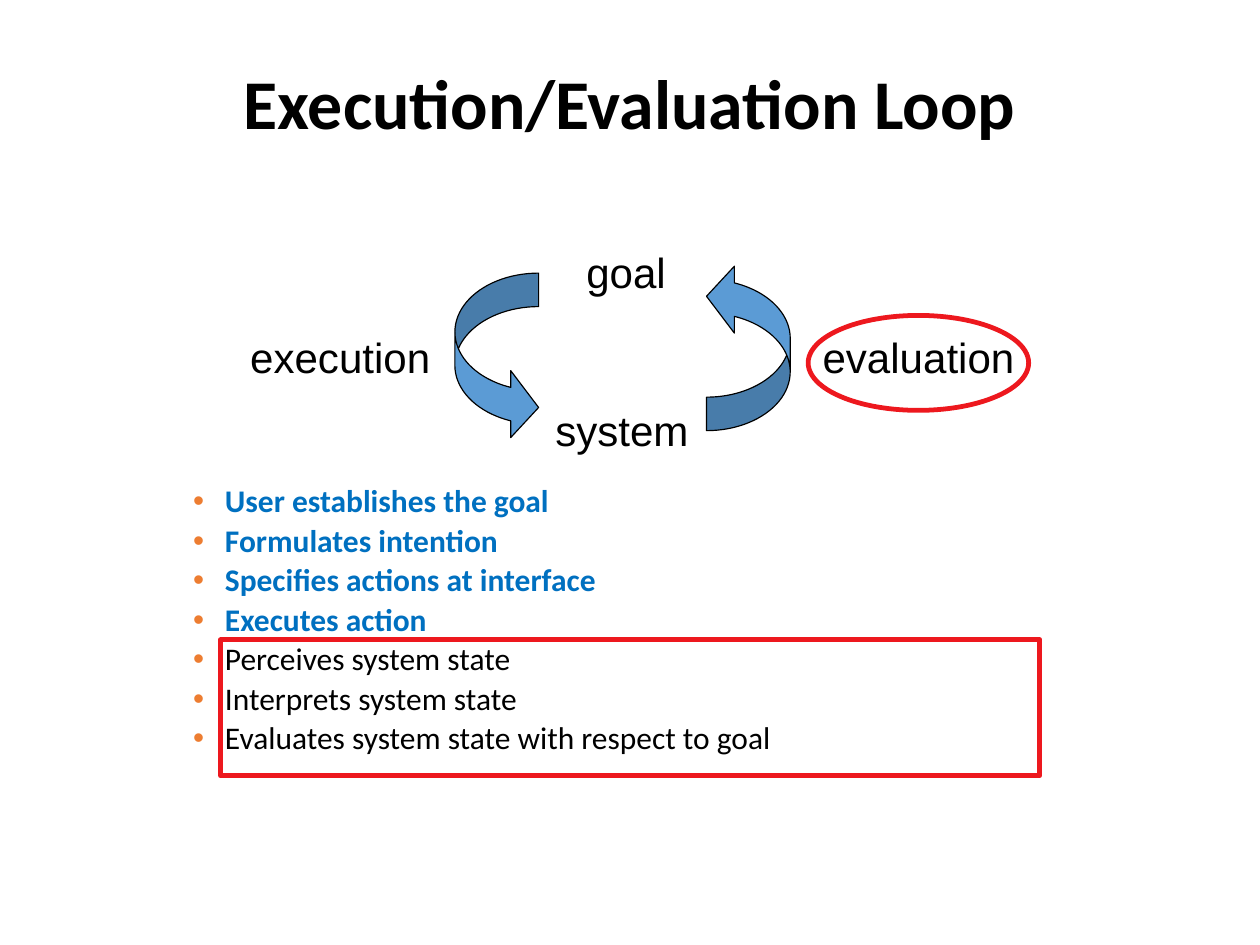
from dataclasses import dataclass
from typing import Optional

import pptx
import pptx.dml.color
import pptx.enum.shapes
import pptx.enum.text
import pptx.oxml.xmlchemy
import pptx.util
from lxml import etree
from pptx.oxml.ns import qn
from pptx.util import Cm

COLOURS = {
    "text": "000000",
    "done": "0070C0",
    "bullet": "ED7D31",
    "arrow": "5B9BD5",
    "highlight": "ED181E",
}
SHAPES = pptx.enum.shapes.MSO_SHAPE
ALIGN = pptx.enum.text.PP_ALIGN


@dataclass
class Box:
    left: float
    top: float
    width: float
    height: float

    def lengths(self) -> tuple:
        return Cm(self.left), Cm(self.top), Cm(self.width), Cm(self.height)


@dataclass
class Label:
    text: str
    box: Box


@dataclass
class Outline:
    kind: SHAPES
    box: Box
    line: str
    weight: float
    fill: Optional[str] = None
    rotation: float = 0
    adjustments: tuple = ()


@dataclass
class Step:
    text: str
    done: bool


LABELS = [
    Label("system", Box(12.09, 8.86, 3.51, 1.4)),
    Label("evaluation", Box(18.03, 7.24, 4.83, 1.4)),
    Label("execution", Box(5.31, 7.24, 4.55, 1.4)),
    Label("goal", Box(12.78, 5.36, 2.31, 1.4)),
]
ARROWS = [
    Outline(SHAPES.CURVED_RIGHT_ARROW, Box(left, top, 1.86, 3.73), "text", 0.75,
            "arrow", rotation, (0.4, 0.8, 0.333))
    for left, top, rotation in [(10.11, 6.07, 0), (15.7, 5.84, 180)]
]
HIGHLIGHTS = [
    Outline(SHAPES.OVAL, Box(17.96, 7.01, 4.9, 2.11), "highlight", 3),
    Outline(SHAPES.RECTANGLE, Box(4.9, 14.22, 18.21, 3.02), "highlight", 3),
]
STEPS = [
    Step("User establishes the goal", True),
    Step("Formulates intention", True),
    Step("Specifies actions at interface", True),
    Step("Executes action", True),
    Step("Perceives system state", False),
    Step("Interprets system state", False),
    Step("Evaluates system state with respect to goal", False),
]


def colour(name: str) -> pptx.dml.color.RGBColor:
    return pptx.dml.color.RGBColor.from_string(COLOURS[name])


def add_text_frame(slide, box: Box, wrap: bool = True):
    frame = slide.shapes.add_textbox(*box.lengths()).text_frame
    frame.word_wrap = wrap
    return frame


def add_run(paragraph, text: str, font: str, size: float,
            name: str = "text", bold: bool = False) -> None:
    run = paragraph.add_run()
    run.text = text
    run.font.name = font
    run.font.size = pptx.util.Pt(size)
    run.font.bold = bold
    run.font.color.rgb = colour(name)


def add_bullet(paragraph) -> None:
    properties = paragraph._p.get_or_add_pPr()
    properties.set("marL", str(Cm(2.64)))
    properties.set("indent", str(Cm(-0.71)))
    bullet_colour = etree.SubElement(properties, qn("a:buClr"))
    etree.SubElement(bullet_colour, qn("a:srgbClr"), val=COLOURS["bullet"])
    etree.SubElement(properties, qn("a:buFont"), typeface="Arial")
    etree.SubElement(properties, qn("a:buChar"), char="•")


def add_label(slide, label: Label) -> None:
    frame = add_text_frame(slide, label.box, wrap=False)
    add_run(frame.paragraphs[0], label.text, "Arial", 26.5)


def add_outline(slide, outline: Outline) -> None:
    shape = slide.shapes.add_shape(outline.kind, *outline.box.lengths())
    shape.shadow.inherit = False
    shape.rotation = outline.rotation
    for index, value in enumerate(outline.adjustments):
        shape.adjustments[index] = value
    if outline.fill:
        shape.fill.solid()
        shape.fill.fore_color.rgb = colour(outline.fill)
    else:
        shape.fill.background()
    shape.line.color.rgb = colour(outline.line)
    shape.line.width = pptx.util.Pt(outline.weight)


def add_steps(slide, box: Box, steps: list[Step]) -> None:
    frame = add_text_frame(slide, box)
    for index, step in enumerate(steps):
        paragraph = frame.add_paragraph() if index else frame.paragraphs[0]
        paragraph.line_spacing = 0.9
        paragraph.space_before = pptx.util.Pt(3.5)
        add_bullet(paragraph)
        add_run(paragraph, step.text, "Calibri", 19.8,
                "done" if step.done else "text", step.done)


def main() -> None:
    presentation = pptx.Presentation()
    presentation.slide_width, presentation.slide_height = Cm(28), Cm(21)
    slide = presentation.slides.add_slide(presentation.slide_layouts[6])

    # Steps of the loop
    add_steps(slide, Box(2.11, 10.67, 23.8, 6.8), STEPS)

    # Loop diagram
    for label in LABELS:
        add_label(slide, label)
    for outline in ARROWS + HIGHLIGHTS:
        add_outline(slide, outline)

    # Title
    title = add_text_frame(slide, Box(3.5, 1.2, 21, 3.5)).paragraphs[0]
    title.alignment = ALIGN.CENTER
    add_run(title, "Execution/Evaluation Loop", "Calibri", 44, bold=True)

    presentation.save("out.pptx")


if __name__ == "__main__":
    main()
